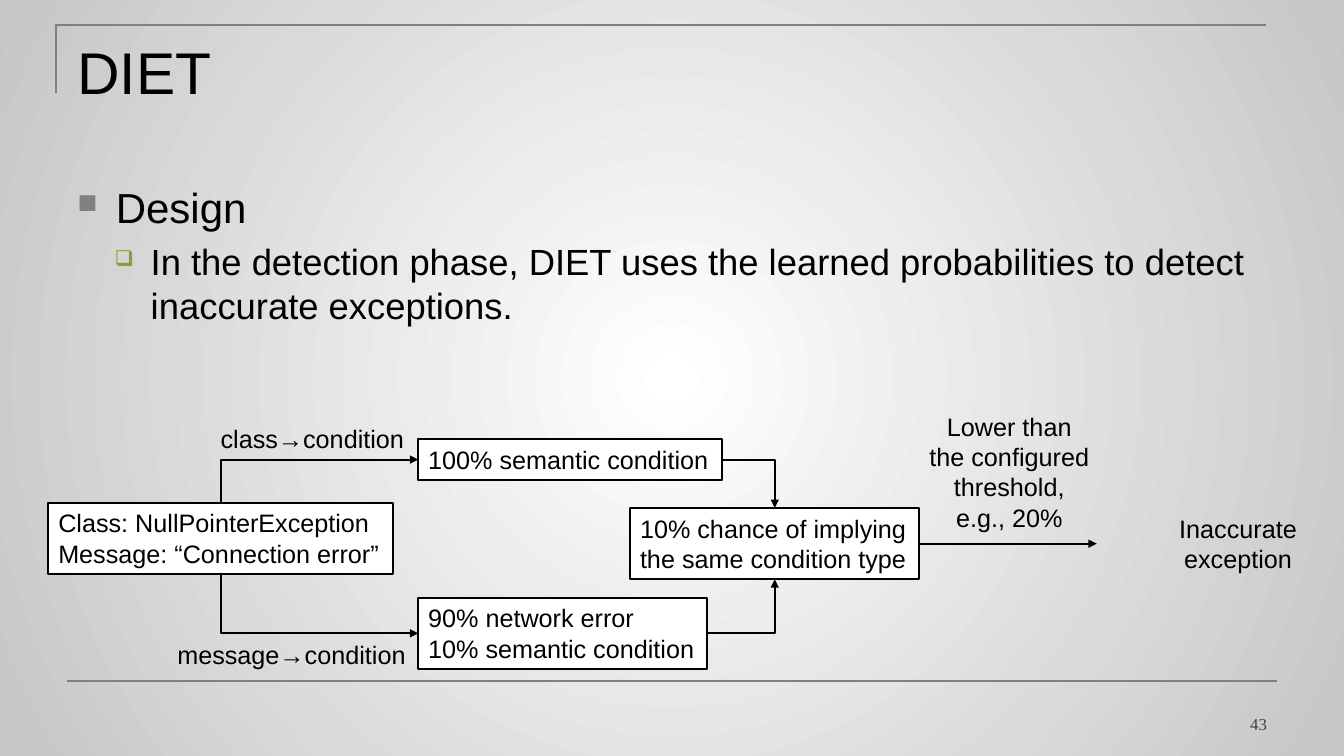
"""Build the DIET design slide with its detection-phase flow diagram."""
from dataclasses import dataclass

from lxml import etree
from pptx import Presentation
from pptx.dml.color import RGBColor
from pptx.enum.shapes import MSO_CONNECTOR, MSO_SHAPE
from pptx.enum.text import MSO_ANCHOR, MSO_AUTO_SIZE, PP_ALIGN
from pptx.oxml import parse_xml
from pptx.oxml.ns import nsdecls, qn
from pptx.util import Cm, Pt

STRAIGHT, ELBOW = MSO_CONNECTOR.STRAIGHT, MSO_CONNECTOR.ELBOW
RECTANGLE = MSO_SHAPE.RECTANGLE
TOP, BOTTOM = MSO_ANCHOR.TOP, MSO_ANCHOR.BOTTOM
GROW = MSO_AUTO_SIZE.SHAPE_TO_FIT_TEXT
LEFT, CENTER, RIGHT = PP_ALIGN.LEFT, PP_ALIGN.CENTER, PP_ALIGN.RIGHT
TOP_SIDE, LEFT_SIDE, BOTTOM_SIDE, RIGHT_SIDE = range(4)


@dataclass(frozen=True)
class Theme:
    ink: str = "000000"
    paper: str = "FFFFFF"
    edge: str = "C6C6C6"
    rule: str = "808080"
    olive: str = "999933"
    number: str = "404040"
    sans: str = "Arial"
    serif: str = "Times New Roman"
    title_size: int = 42
    point_size: int = 30
    detail_size: int = 26
    label_size: int = 18
    number_size: int = 12
    stroke: float = 1.5


theme = Theme()


def write(para, text, size, align=LEFT, font=theme.sans, colour=theme.ink):
    """Add one formatted run to a paragraph."""
    para.alignment = align
    span = para.add_run()
    span.text = text
    span.font.size = Pt(size)
    span.font.name = font
    span.font.color.rgb = RGBColor.from_string(colour)


def draw_line(shape, colour=theme.ink, arrow=None):
    """Give a shape its stroke and, where named, an arrowhead."""
    shape.line.color.rgb = RGBColor.from_string(colour)
    shape.line.width = Pt(theme.stroke)
    if arrow:
        etree.SubElement(shape.line._get_or_add_ln(), qn(f"a:{arrow}"), type="triangle")
    properties = shape._element.spPr
    if properties.find(qn("a:effectLst")) is None:
        etree.SubElement(properties, qn("a:effectLst"))


deck = Presentation()
deck.slide_width, deck.slide_height = Cm(33.87), Cm(19.05)
page = deck.slides.add_slide(deck.slide_layouts[5])
shapes = page.shapes

page.element.cSld.insert(0, parse_xml(
    f'<p:bg {nsdecls("p", "a")}><p:bgPr><a:gradFill rotWithShape="1"><a:gsLst>'
    f'<a:gs pos="0"><a:srgbClr val="{theme.paper}"/></a:gs>'
    f'<a:gs pos="100000"><a:srgbClr val="{theme.edge}"/></a:gs></a:gsLst>'
    '<a:path path="circle"><a:fillToRect l="50000" t="50000" r="50000" b="50000"/></a:path>'
    '</a:gradFill><a:effectLst/></p:bgPr></p:bg>'))

builder = shapes.build_freeform(Cm(1.42), Cm(2.34))
builder.add_line_segments([(Cm(1.42), Cm(0.64)), (Cm(31.9), Cm(0.64))], close=False)
corner = builder.convert_to_shape()
corner.fill.background()
corner.shadow.inherit = False
draw_line(corner, theme.rule)
draw_line(shapes.add_connector(STRAIGHT, Cm(1.7), Cm(17.15), Cm(32.18), Cm(17.15)), theme.rule)

title = shapes.title
title.left, title.top, title.width, title.height = Cm(1.7), Cm(0.76), Cm(30.48), Cm(3.18)
title.text_frame.vertical_anchor = TOP
title.text_frame.auto_size = MSO_AUTO_SIZE.NONE
write(title.text_frame.paragraphs[0], "DIET", theme.title_size)

body = shapes.add_textbox(Cm(1.7), Cm(4.45), Cm(30.48), Cm(5.97)).text_frame
body.word_wrap = True
points = [
    ("Design", theme.point_size, "■", theme.rule, 65, 0.97, 0.97),
    ("In the detection phase, DIET uses the learned probabilities to detect "
     "inaccurate exceptions.", theme.detail_size, "❑", theme.olive, 60, 1.85, 0.91),
]
for level, (text, size, mark, colour, percent, margin, hang) in enumerate(points):
    para = body.add_paragraph() if level else body.paragraphs[0]
    para.level = level
    properties = para._p.get_or_add_pPr()
    properties.set("marL", str(Cm(margin)))
    properties.set("indent", str(-Cm(hang)))
    bullet_colour = etree.SubElement(properties, qn("a:buClr"))
    etree.SubElement(bullet_colour, qn("a:srgbClr"), val=colour)
    etree.SubElement(properties, qn("a:buSzPct"), val=str(percent * 1000))
    etree.SubElement(properties, qn("a:buChar"), char=mark)
    para.space_before = Pt(0.2 * size * level)
    write(para, text, size)

number = shapes.add_textbox(Cm(24.28), Cm(17.35), Cm(7.9), Cm(1.27)).text_frame
number.word_wrap = True
number.vertical_anchor = BOTTOM
write(number.paragraphs[0], "43", theme.number_size, RIGHT, theme.serif, theme.number)

steps = {
    "exception": (1.22, 12.67, 8.69, ["Class: NullPointerException",
                                      "Message: “Connection error”"]),
    "chance": (15.88, 12.8, 7.29, ["10% chance of implying", "the same condition type"]),
    "class": (10.54, 11.07, 7.65, ["100% semantic condition"]),
    "message": (10.54, 15.06, 7.29, ["90% network error", "10% semantic condition"]),
}
boxes = {}
for name, (left, top, width, lines) in steps.items():
    height = 0.25 + 0.775 * len(lines)
    box = shapes.add_shape(RECTANGLE, Cm(left), Cm(top), Cm(width), Cm(height))
    box.shadow.inherit = False
    box.fill.solid()
    box.fill.fore_color.rgb = RGBColor.from_string(theme.paper)
    draw_line(box)
    frame = box.text_frame
    frame.word_wrap = False
    frame.auto_size = GROW
    frame.vertical_anchor = TOP
    for index, line in enumerate(lines):
        para = frame.add_paragraph() if index else frame.paragraphs[0]
        write(para, line, theme.label_size)
    boxes[name] = box

for name, side in (("class", TOP_SIDE), ("message", BOTTOM_SIDE)):
    for exit_side, target, arrow in ((LEFT_SIDE, "exception", "headEnd"),
                                     (RIGHT_SIDE, "chance", "tailEnd")):
        link = shapes.add_connector(ELBOW, 0, 0, 0, 0)
        link.begin_connect(boxes[name], exit_side)
        link.end_connect(boxes[target], side)
        link._element.spPr.find(qn("a:prstGeom")).set("prst", "bentConnector2")
        draw_line(link, arrow=arrow)

verdict = shapes.add_connector(STRAIGHT, Cm(23.17), Cm(13.7), Cm(27.64), Cm(13.7))
verdict.begin_connect(boxes["chance"], RIGHT_SIDE)
draw_line(verdict, arrow="tailEnd")

labels = [
    (5.31, 10.54, 5.16, 1.02, LEFT, False, ["class→condition"]),
    (4.22, 15.98, 6.3, 1.02, LEFT, False, ["message→condition"]),
    (29.41, 12.8, 3.58, 1.8, CENTER, False, ["Inaccurate", "exception"]),
    (23.16, 10.24, 4.55, 3.33, CENTER, True,
     ["Lower than the configured threshold, e.g., 20%"]),
]
for left, top, width, height, align, wrap, lines in labels:
    frame = shapes.add_textbox(Cm(left), Cm(top), Cm(width), Cm(height)).text_frame
    frame.word_wrap = wrap
    frame.auto_size = GROW
    for index, line in enumerate(lines):
        para = frame.add_paragraph() if index else frame.paragraphs[0]
        write(para, line, theme.label_size, align)

deck.save("out.pptx")
